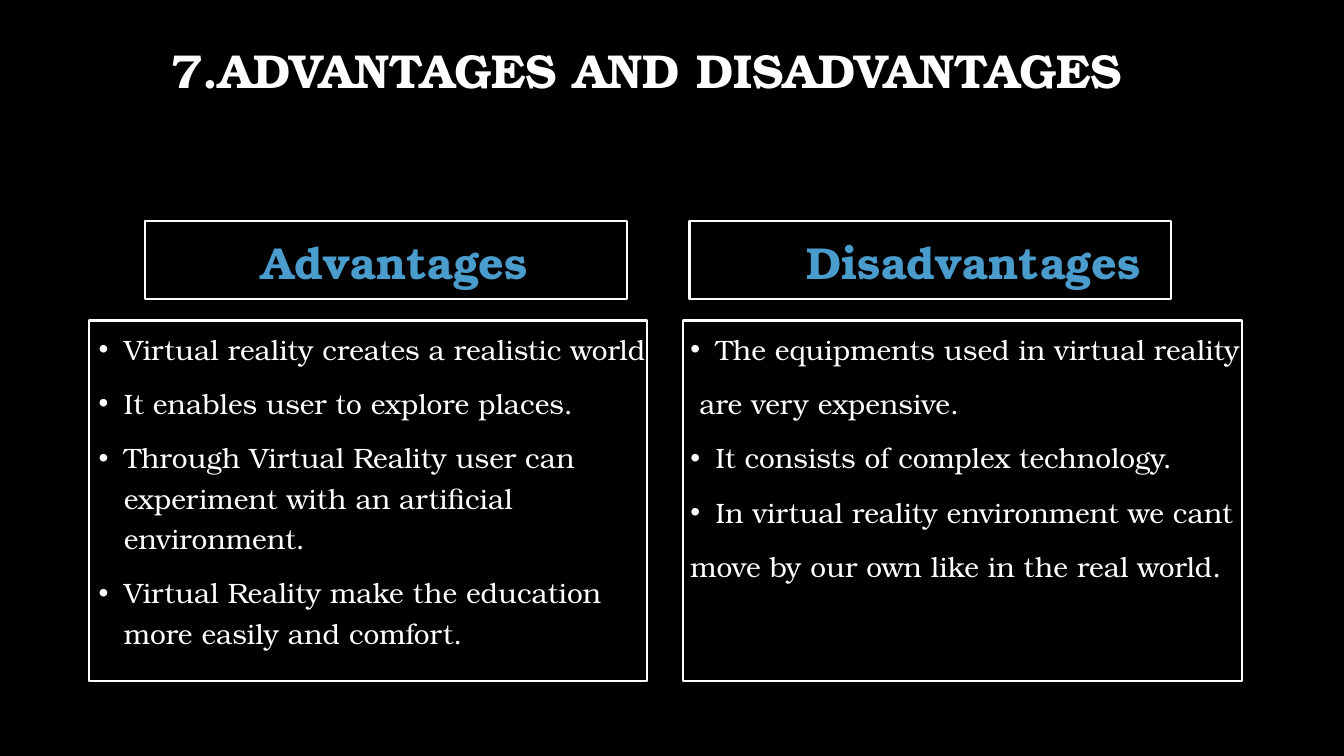
import pptx
import pptx.dml.color
import pptx.enum.shapes
import pptx.enum.text
import pptx.oxml.ns
import pptx.util
from dataclasses import dataclass
from lxml import etree

Pt = pptx.util.Pt
ALIGN = pptx.enum.text.PP_ALIGN
ANCHOR = pptx.enum.text.MSO_ANCHOR
SHAPE = pptx.enum.shapes.MSO_SHAPE


@dataclass(frozen=True)
class Theme:
    font: str = "TeX Gyre Bonum"
    background: str = "000000"
    text: str = "FFFFFF"
    accent: str = "4A9CCC"
    title_size: float = 34
    heading_size: float = 32
    body_size: float = 20
    line_width: float = 1.5
    bullet_indent: float = 18


def rgb(value):
    return pptx.dml.color.RGBColor.from_string(value)


def add_bullet(p, indent):
    pPr = p._p.get_or_add_pPr()
    pPr.set("marL", str(Pt(indent)))
    pPr.set("indent", str(-Pt(indent)))
    qn = pptx.oxml.ns.qn
    etree.SubElement(pPr, qn("a:buFont")).set("typeface", "Arial")
    etree.SubElement(pPr, qn("a:buChar")).set("char", "•")


def write_text(p, text, *, font, size, color, bold=False, align=ALIGN.LEFT,
               line_spacing=1.0, space_before=0, bullet_indent=0):
    if bullet_indent:
        add_bullet(p, bullet_indent)
    p.alignment = align
    p.line_spacing = line_spacing
    p.space_before = Pt(space_before)
    r = p.add_run()
    r.text = text
    r.font.name = font
    r.font.size = Pt(size)
    r.font.bold = bold
    r.font.color.rgb = rgb(color)


class SlideBuilder:
    def __init__(self, slide, theme):
        self.s = slide
        self.theme = theme
        fill = slide.background.fill
        fill.solid()
        fill.fore_color.rgb = rgb(theme.background)

    def text_box(self, box, anchor=ANCHOR.TOP):
        tf = self.s.shapes.add_textbox(*map(Pt, box)).text_frame
        tf.word_wrap = True
        tf.vertical_anchor = anchor
        return tf

    def title(self, text, box):
        t = self.theme
        tf = self.text_box(box, ANCHOR.MIDDLE)
        write_text(tf.paragraphs[0], text, font=t.font, size=t.title_size, color=t.text,
                   bold=True, align=ALIGN.CENTER, line_spacing=0.9)

    def heading(self, text, box):
        t = self.theme
        tf = self.text_box(box)
        write_text(tf.paragraphs[0], text, font=t.font, size=t.heading_size, color=t.accent,
                   bold=True, align=ALIGN.CENTER, space_before=10)

    def body(self, items, box):
        t = self.theme
        tf = self.text_box(box)
        for i, (bulleted, text) in enumerate(items):
            p = tf.add_paragraph() if i else tf.paragraphs[0]
            write_text(p, text, font=t.font, size=t.body_size, color=t.text,
                       line_spacing=1.2, space_before=10,
                       bullet_indent=t.bullet_indent if bulleted else 0)

    def frame(self, kind, box):
        sp = self.s.shapes.add_shape(kind, *map(Pt, box))
        sp.shadow.inherit = False
        sp.fill.background()
        sp.line.color.rgb = rgb(self.theme.text)
        sp.line.width = Pt(self.theme.line_width)


ADVANTAGES = [
    (True, "Virtual reality creates a realistic world"),
    (True, "It enables user to explore places."),
    (True, "Through Virtual Reality user can experiment with an artificial environment."),
    (True, "Virtual Reality make the education more easily and comfort."),
]
DISADVANTAGES = [
    (True, "The equipments used in virtual reality"),
    (False, " are very expensive."),
    (True, "It consists of complex technology."),
    (True, "In virtual reality environment we cant"),
    (False, "move by our own like in the real world."),
]
HEADING_TOP, HEADING_HEIGHT = 164.16, 64.8
BODY_TOP = 228.96


def main():
    prs = pptx.Presentation()
    prs.slide_width, prs.slide_height = Pt(960), Pt(540)
    slide = SlideBuilder(prs.slides.add_slide(prs.slide_layouts[6]), Theme())

    # Title
    slide.title("7.ADVANTAGES AND DISADVANTAGES", (54.72, 0, 815.04, 104.4))

    # Column texts
    slide.heading("Advantages", (90, HEADING_TOP, 384.48, HEADING_HEIGHT))
    slide.body(ADVANTAGES, (63.36, BODY_TOP, 410.4, 244.8))
    slide.heading("Disadvantages", (504, HEADING_TOP, 383.04, HEADING_HEIGHT))
    slide.body(DISADVANTAGES, (486, BODY_TOP, 473.76, 311))

    # Heading frames, then body frames
    for left in (103.68, 492.48):
        slide.frame(SHAPE.FLOWCHART_PROCESS, (left, 157.68, 344.16, 56.16))
    for left in (63.36, 488.16):
        slide.frame(SHAPE.RECTANGLE, (left, BODY_TOP, 398.88, 257.76))

    prs.save("out.pptx")


if __name__ == "__main__":
    main()
